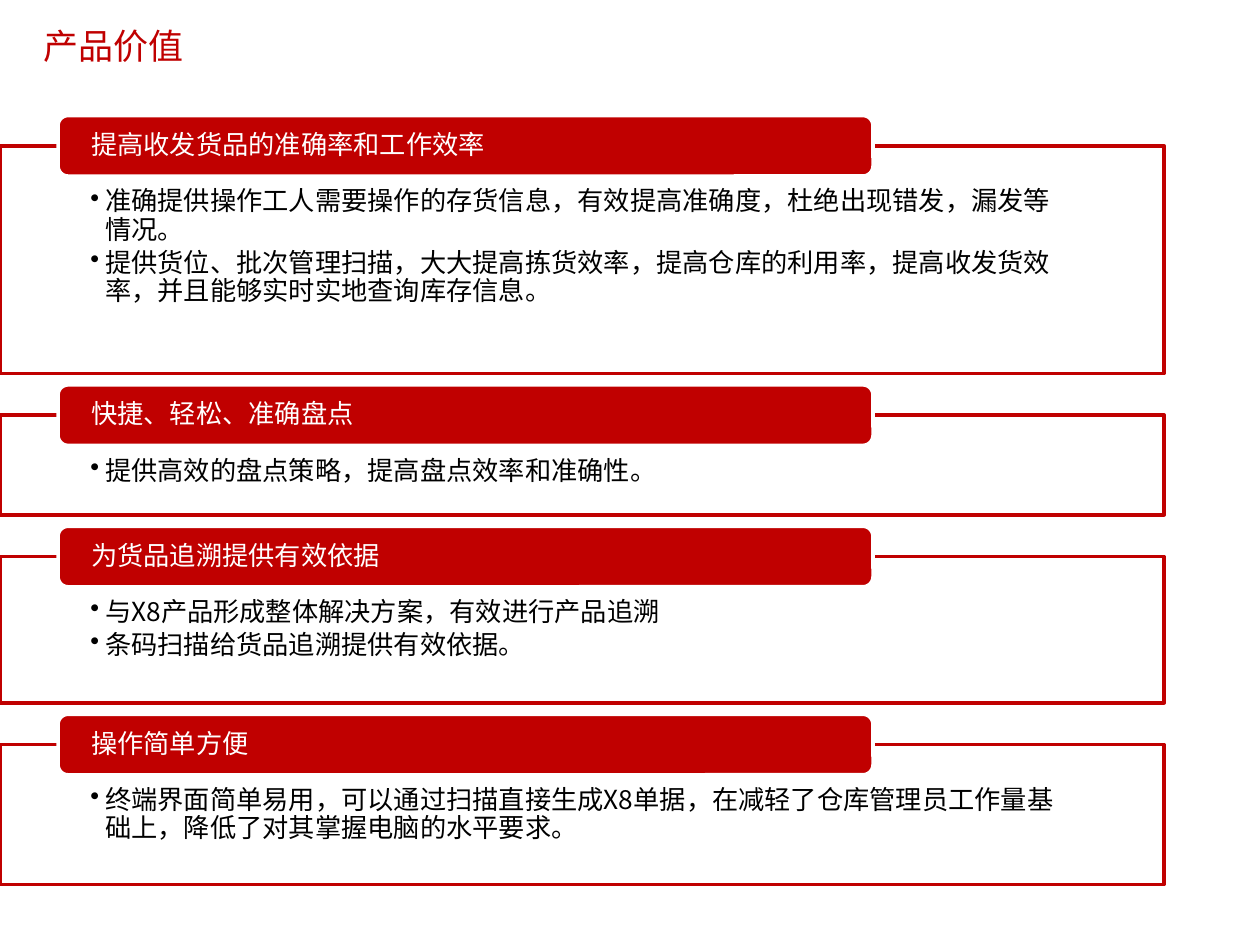
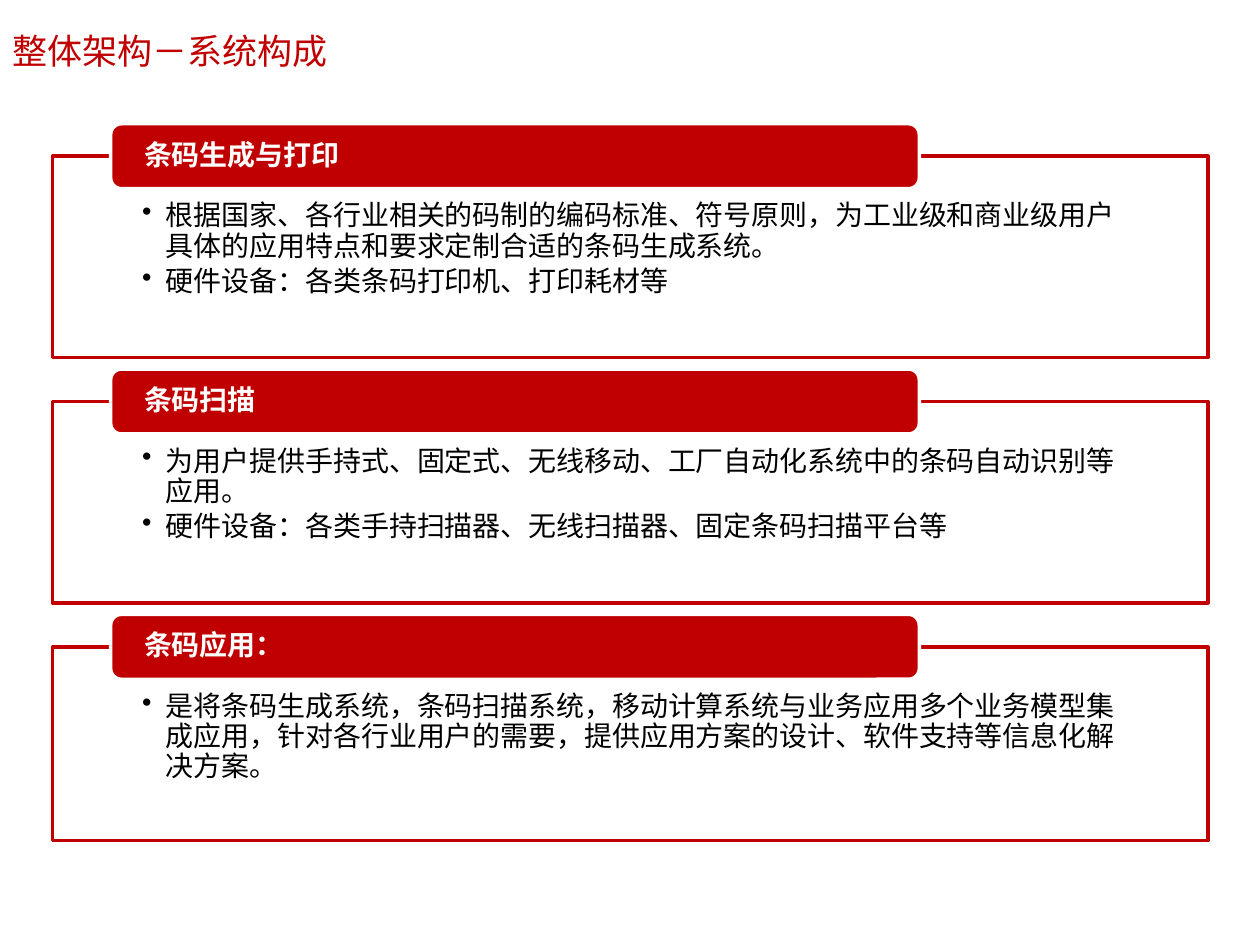
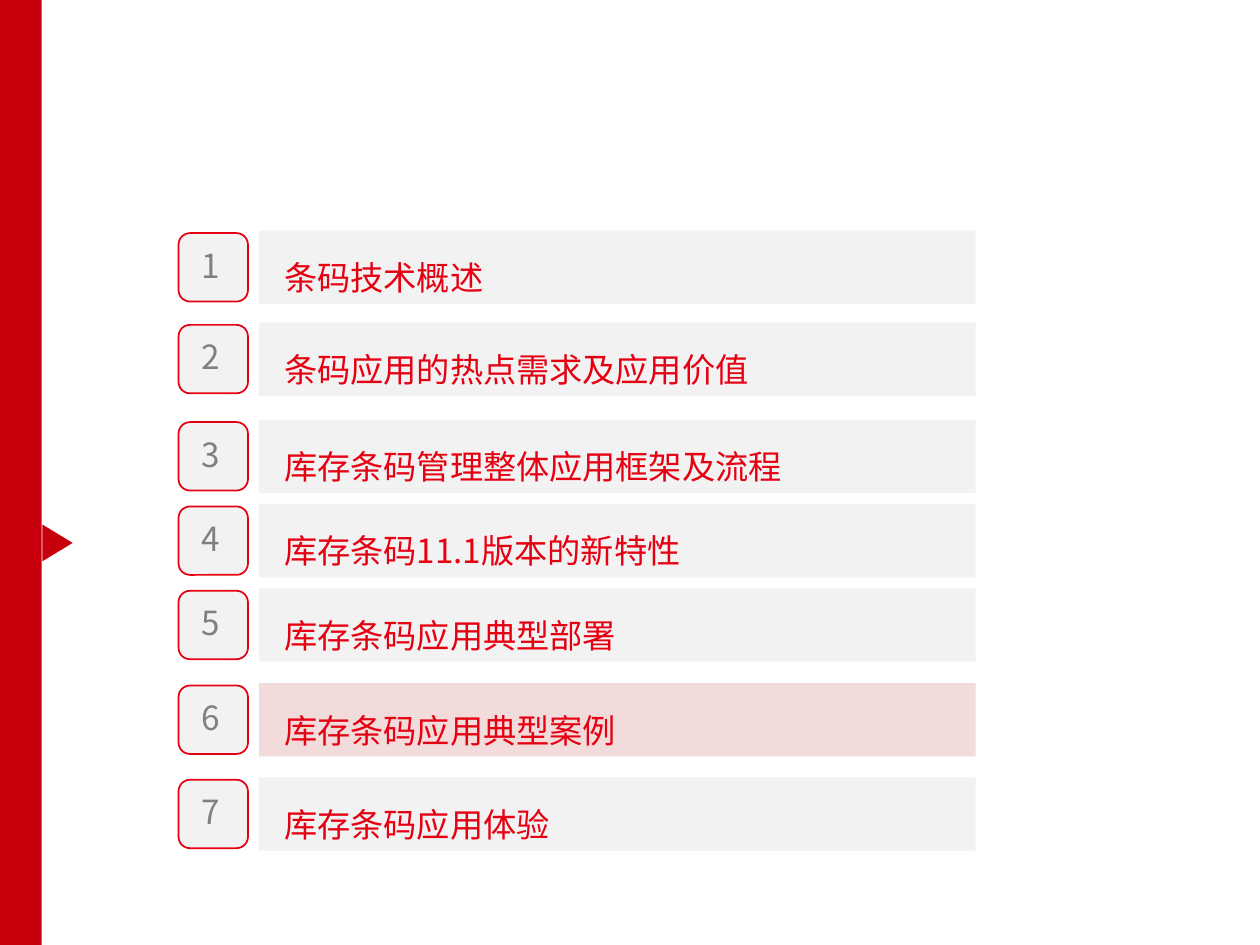
from dataclasses import dataclass

from lxml.etree import SubElement
from pptx import Presentation
from pptx.dml.color import RGBColor
from pptx.enum.shapes import MSO_SHAPE
from pptx.enum.text import MSO_ANCHOR, PP_ALIGN
from pptx.oxml.ns import qn
from pptx.util import Cm, Pt


@dataclass(frozen=True)
class Theme:
    red: str = "C00000"
    band: str = "C8000E"
    accent: str = "E60012"
    pink: str = "F2DCDB"
    pale: str = "F2F2F2"
    grey: str = "808080"
    white: str = "FFFFFF"
    black: str = "000000"
    font: str = "Noto Sans CJK SC"
    head: str = "Calibri"
    title: int = 20
    item: int = 19


@dataclass(frozen=True)
class Box:
    left: float
    top: float
    width: float
    height: float

    def place(self):
        return [Cm(v) for v in (self.left, self.top, self.width, self.height)]


@dataclass(frozen=True)
class Style:
    size: int
    bold: bool
    tab: float      # height of the heading tab
    hang: float     # hanging indent of the bullets


THEME = Theme()
GAP = 0.23          # space between one card and the next
TAB_IN = 1.17       # heading tab, from the left of its card

VALUES = [
    (4.59, "提高收发货品的准确率和工作效率", [
        "准确提供操作工人需要操作的存货信息，有效提高准确度，杜绝出现错发，漏发等情况。",
        "提供货位、批次管理扫描，大大提高拣货效率，提高仓库的利用率，提高收发货效率，并且能够实时实地查询库存信息。"]),
    (2.01, "快捷、轻松、准确盘点", [
        "提供高效的盘点策略，提高盘点效率和准确性。"]),
    (2.95, "为货品追溯提供有效依据", [
        "与X8产品形成整体解决方案，有效进行产品追溯",
        "条码扫描给货品追溯提供有效依据。"]),
    (2.82, "操作简单方便", [
        "终端界面简单易用，可以通过扫描直接生成X8单据，在减轻了仓库管理员工作量基础上，降低了对其掌握电脑的水平要求。"]),
]

SYSTEM = [
    (4.06, "条码生成与打印", [
        "根据国家、各行业相关的码制的编码标准、符号原则，为工业级和商业级用户具体的应用特点和要求定制合适的条码生成系统。",
        "硬件设备：各类条码打印机、打印耗材等"]),
    (4.06, "条码扫描", [
        "为用户提供手持式、固定式、无线移动、工厂自动化系统中的条码自动识别等应用。",
        "硬件设备：各类手持扫描器、无线扫描器、固定条码扫描平台等"]),
    (3.91, "条码应用：", [
        "是将条码生成系统，条码扫描系统，移动计算系统与业务应用多个业务模型集成应用，针对各行业用户的需要，提供应用方案的设计、软件支持等信息化解决方案。"]),
]

# Top of each agenda row and its text
AGENDA = [
    (4.65, "条码技术概述"),
    (6.5, "条码应用的热点需求及应用价值"),
    (8.46, "库存条码管理整体应用框架及流程"),
    (10.16, "库存条码11.1版本的新特性"),
    (11.86, "库存条码应用典型部署"),
    (13.77, "库存条码应用典型案例"),
    (15.67, "库存条码应用体验"),
]
CURRENT = 6


def color(code):
    return RGBColor.from_string(code)


def add_form(slide, kind, box, fill, line=None, width=2):
    form = slide.shapes.add_shape(kind, *box.place())
    form.shadow.inherit = False
    form.fill.solid()
    form.fill.fore_color.rgb = color(fill)
    if line:
        form.line.color.rgb = color(line)
        form.line.width = Pt(width)
    else:
        form.line.fill.background()
    return form


def set_frame(form, anchor, left, top, right, bottom):
    frame = form.text_frame
    frame.word_wrap = True
    frame.vertical_anchor = anchor
    frame.margin_left, frame.margin_right = Cm(left), Cm(right)
    frame.margin_top, frame.margin_bottom = Cm(top), Cm(bottom)
    return frame


def format_para(para, size, tone, bold=False, font=THEME.font, align=PP_ALIGN.LEFT):
    para.alignment = align
    for run in para.runs:
        run.font.name = font
        run.font.size = Pt(size)
        run.font.bold = bold
        run.font.color.rgb = color(tone)


def add_bullet(para, hang):
    props = para._p.get_or_add_pPr()
    props.set("marL", str(Cm(hang)))
    props.set("indent", str(-Cm(hang)))
    SubElement(props, qn("a:buChar")).set("char", "•")


def add_title(slide, text, box, font):
    title = slide.shapes.title
    title.left, title.top, title.width, title.height = box.place()
    frame = set_frame(title, MSO_ANCHOR.MIDDLE, 0.25, 0.13, 0.25, 0.13)
    frame.text = text
    format_para(frame.paragraphs[0], THEME.title, THEME.red, font=font)


def add_card(slide, box, head, points, style):
    # Outlined panel with bullets
    panel = add_form(slide, MSO_SHAPE.RECTANGLE, box, THEME.white, THEME.red)
    side = box.width * 0.0776
    frame = set_frame(panel, MSO_ANCHOR.TOP, side, style.tab * 0.7, side, 0.3)
    frame.text = "\n".join(points)
    for para in frame.paragraphs:
        add_bullet(para, style.hang)
        para.line_spacing = 0.9
        para.space_after = Pt(style.size * 0.18)
        format_para(para, style.size, THEME.black)

    # Heading tab centred on the top edge
    spot = Box(box.left + TAB_IN, box.top - style.tab / 2, box.width * 0.7, style.tab)
    tab = add_form(slide, MSO_SHAPE.ROUNDED_RECTANGLE, spot, THEME.red, THEME.white)
    frame = set_frame(tab, MSO_ANCHOR.MIDDLE, 0.61, 0, 0.61, 0)
    frame.text = head
    frame.paragraphs[0].line_spacing = 0.9
    format_para(frame.paragraphs[0], style.size, THEME.white, style.bold)


def add_stack(slide, left, top, width, cards, style):
    for height, head, points in cards:
        add_card(slide, Box(left, top, width, height), head, points, style)
        top += height + GAP + style.tab / 2


def add_row(slide, box, num, text):
    # Number badge
    spot = Box(box.left, box.top + 0.05, 1.4, box.height - 0.1)
    badge = add_form(slide, MSO_SHAPE.ROUNDED_RECTANGLE, spot, THEME.pale, THEME.accent, 1)
    frame = set_frame(badge, MSO_ANCHOR.MIDDLE, 0, 0, 0.1, 0.1)
    frame.text = str(num)
    format_para(frame.paragraphs[0], THEME.item, THEME.grey, align=PP_ALIGN.CENTER)

    # Text bar
    spot = Box(box.left + 1.62, box.top, box.width - 1.62, box.height)
    fill = THEME.pink if num == CURRENT else THEME.pale
    bar = add_form(slide, MSO_SHAPE.RECTANGLE, spot, fill)
    frame = set_frame(bar, MSO_ANCHOR.MIDDLE, 0.51, 0.13, 0.25, 0.13)
    frame.text = text
    frame.paragraphs[0].line_spacing = 1.5
    format_para(frame.paragraphs[0], THEME.item, THEME.accent)


def add_band(slide, box):
    # Side band and its pointer
    add_form(slide, MSO_SHAPE.RECTANGLE, box, THEME.band)
    spot = Box(box.left + box.width - 0.05, box.top + 10.64, 0.74, 0.61)
    mark = add_form(slide, MSO_SHAPE.ISOSCELES_TRIANGLE, spot, THEME.band)
    mark.rotation = 90


def main():
    deck = Presentation()
    deck.slide_width, deck.slide_height = Cm(25.4), Cm(19.05)
    titled, blank = deck.slide_layouts[5], deck.slide_layouts[6]

    # Product value
    slide = deck.slides.add_slide(titled)
    add_title(slide, "产品价值", Box(0.63, 0.05, 20.96, 1.75), THEME.font)
    add_stack(slide, 0, 2.94, 23.47, VALUES, Style(15, False, 1.22, 0.3))

    # System parts
    slide = deck.slides.add_slide(titled)
    add_title(slide, "整体架构－系统构成", Box(0, 0.43, 20.52, 1.19), THEME.head)
    add_stack(slide, 1.06, 3.15, 23.29, SYSTEM, Style(16, True, 1.31, 0.48))

    # Agenda
    slide = deck.slides.add_slide(blank)
    add_band(slide, Box(0, 0, 0.84, 19.05))
    for num, (top, text) in enumerate(AGENDA, 1):
        add_row(slide, Box(3.6, top, 16.07, 1.48), num, text)

    deck.save("out.pptx")


if __name__ == "__main__":
    main()
